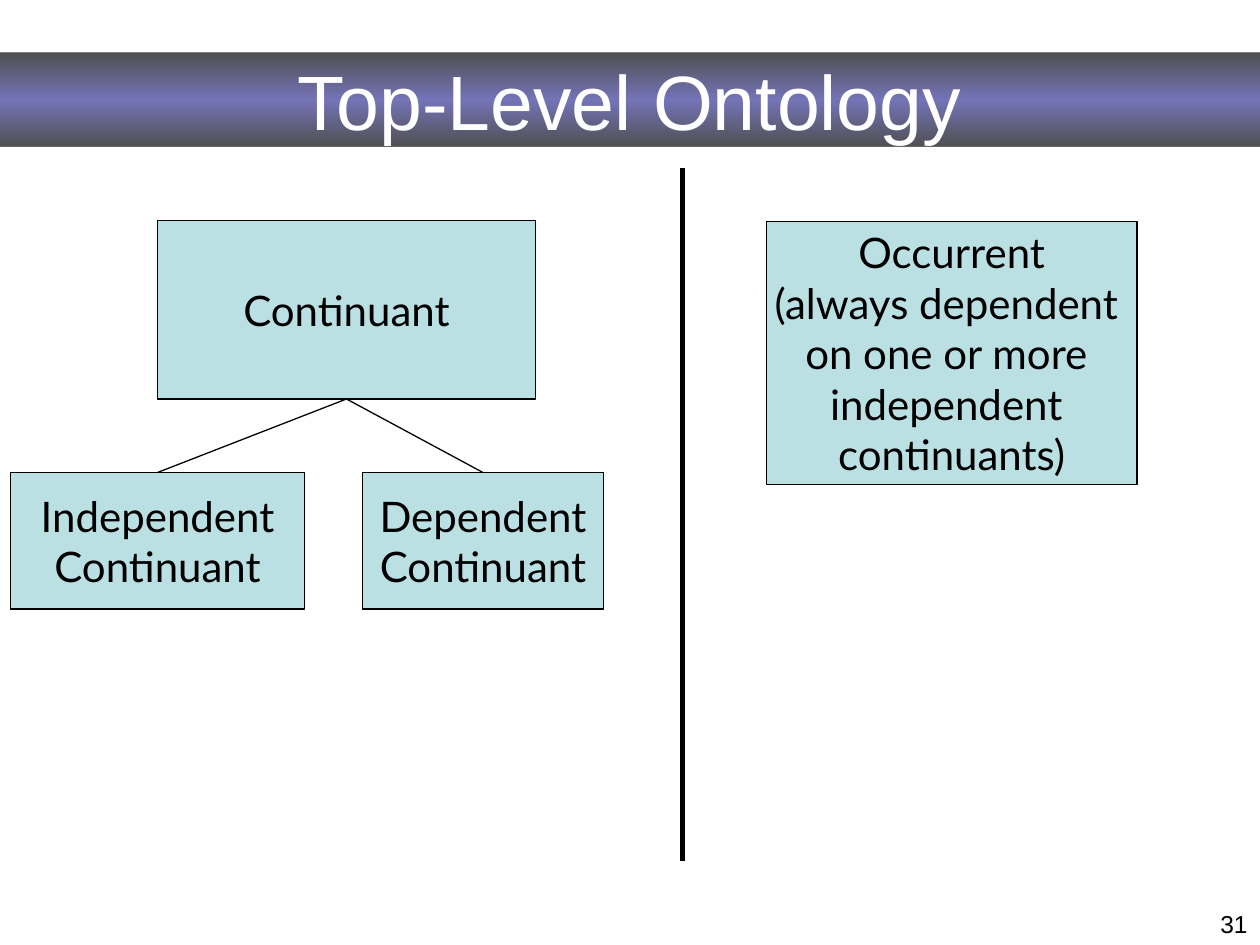
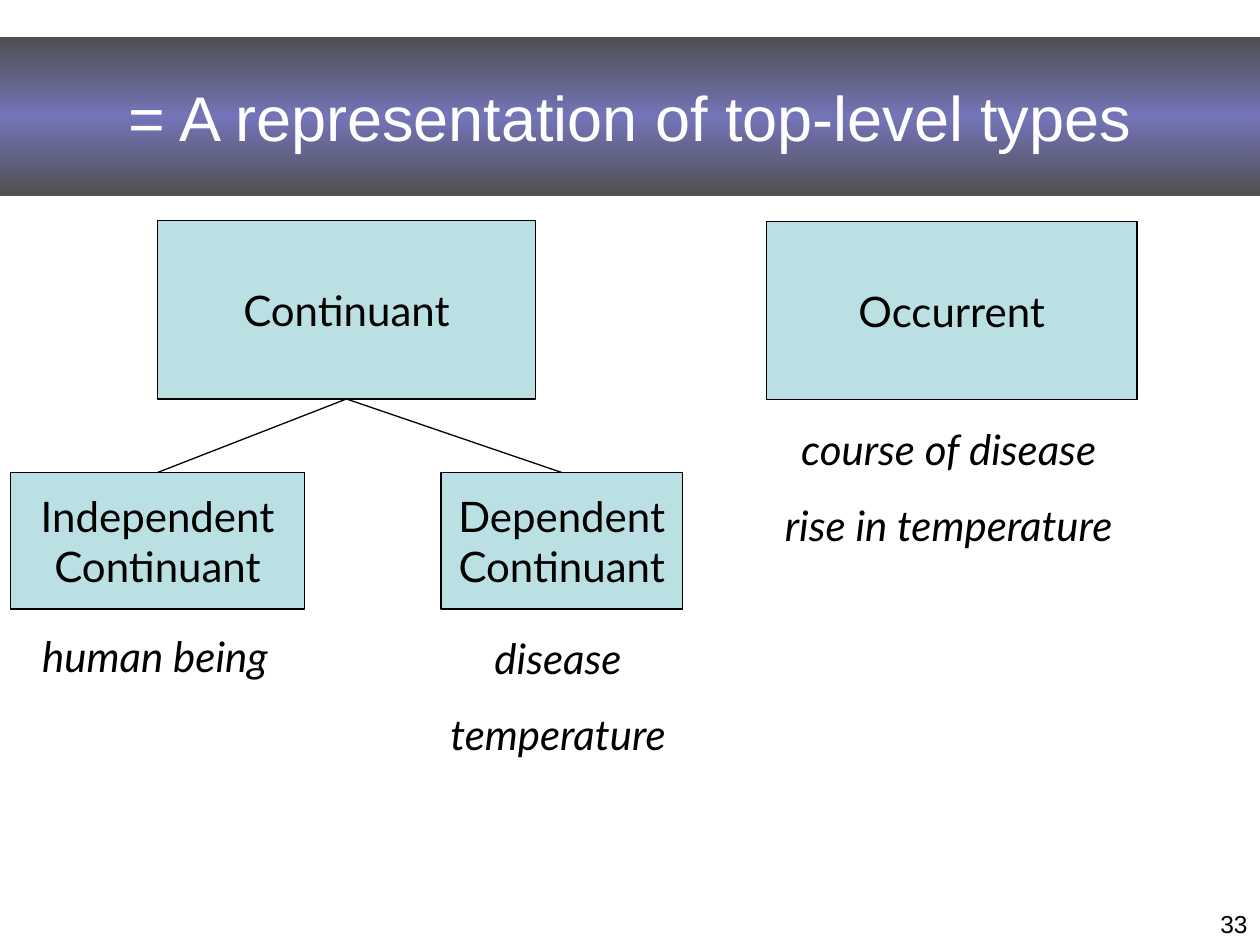
from dataclasses import dataclass

from lxml.etree import SubElement
from pptx import Presentation
from pptx.dml.color import RGBColor
from pptx.enum.shapes import MSO_CONNECTOR, MSO_SHAPE
from pptx.enum.text import MSO_ANCHOR, MSO_AUTO_SIZE, PP_ALIGN
from pptx.oxml import parse_xml
from pptx.oxml.ns import nsdecls, qn
from pptx.util import Pt


@dataclass(frozen=True)
class Theme:
    black = RGBColor(0x00, 0x00, 0x00)
    white = RGBColor(0xFF, 0xFF, 0xFF)
    box_fill = RGBColor(0xBB, 0xE0, 0xE3)
    # Title band stops: position %, colour, opacity %
    band = ((0, "000000", 68), (50, "333399", 67), (100, "000000", 68))
    box_font = {"name": "Lato", "size": Pt(24)}
    example_font = {"name": "Lato", "size": Pt(24), "italic": True}
    number_font = {"name": "Arial", "size": Pt(14)}
    thin, thick = Pt(0.75), Pt(3)
    example_gap = Pt(15)


theme = Theme()


def write_lines(shape, lines, font_format, color=theme.black,
                align=PP_ALIGN.CENTER, gap=Pt(0), **frame_format):
    """Fill the shape with one paragraph per line, with gap between them."""
    frame = shape.text_frame
    frame.text = "\n".join(lines)
    for attribute, value in frame_format.items():
        setattr(frame, attribute, value)
    for index, paragraph in enumerate(frame.paragraphs):
        paragraph.alignment = align
        paragraph.space_before = gap if index else Pt(0)
        for attribute, value in font_format.items():
            setattr(paragraph.font, attribute, value)
        paragraph.font.color.rgb = color


def draw_line(slide, start, end, width):
    line = slide.shapes.add_connector(MSO_CONNECTOR.STRAIGHT, *map(Pt, start + end))
    line.line.color.rgb = theme.black
    line.line.width = width
    SubElement(line._element.spPr, qn("a:effectLst"))
    return line


# Boxes and examples are given as left, top, width, height, lines.
continuant = (90, 126, 216, 102, ["Continuant"])
independent = (6, 270, 168, 78, ["Independent", "Continuant"])
dependent_lines = ["Dependent", "Continuant"]

slides = [
    {
        "title": "Top-Level Ontology", "title_size": 44, "band": (30, 54),
        "boxes": [
            continuant,
            independent,
            (207, 270, 138, 78, dependent_lines),
            (438, 126.7, 211.7, 150,
             ["Occurrent", "(always dependent ", "on one or more ",
              "independent ", "continuants)"]),
        ],
        "dividers": [((390, 96), (390, 492))],
        "examples": [],
        "number": "31",
    },
    {
        "title": "= A representation of top-level types", "title_size": 36,
        "band": (21.6, 90),
        "boxes": [
            continuant,
            independent,
            (252, 270, 138, 78, dependent_lines),
            (438, 126.7, 211.7, 101.5, ["Occurrent"]),
        ],
        "dividers": [],
        "examples": [
            (-3.6, 357, 184.3, 36, ["human being"]),
            (437, 238.3, 210.2, 108.7, ["course of disease", "rise in temperature"]),
            (213.8, 357.8, 210.2, 80, ["disease", "temperature"]),
        ],
        "number": "33",
    },
]

presentation = Presentation()
presentation.slide_width, presentation.slide_height = Pt(720), Pt(540)
title_only = presentation.slide_layouts[5]

for content in slides:
    slide = presentation.slides.add_slide(title_only)

    # Title band
    title = slide.shapes.title
    top, height = content["band"]
    title.left, title.top, title.width, title.height = map(Pt, (0, top, 720, height))
    stops = "".join(
        f'<a:gs pos="{position * 1000}"><a:srgbClr val="{color}">'
        f'<a:alpha val="{opacity * 1000}"/></a:srgbClr></a:gs>'
        for position, color, opacity in theme.band)
    title._element.spPr.append(parse_xml(
        f'<a:gradFill {nsdecls("a")} rotWithShape="1"><a:gsLst>{stops}</a:gsLst>'
        '<a:lin ang="5400000" scaled="1"/></a:gradFill>'))
    write_lines(title, [content["title"]],
                {"name": "Arial", "size": Pt(content["title_size"])}, theme.white,
                vertical_anchor=MSO_ANCHOR.MIDDLE, auto_size=MSO_AUTO_SIZE.NONE)

    # Types
    boxes = []
    for *bounds, lines in content["boxes"]:
        box = slide.shapes.add_shape(MSO_SHAPE.RECTANGLE, *map(Pt, bounds))
        box.shadow.inherit = False
        box.fill.solid()
        box.fill.fore_color.rgb = theme.box_fill
        box.line.color.rgb = theme.black
        box.line.width = theme.thin
        write_lines(box, lines, theme.box_font,
                    vertical_anchor=MSO_ANCHOR.MIDDLE, word_wrap=False)
        boxes.append(box)

    # Branches from the continuant (bottom centre) to its subtypes (top centre)
    parent, *subtypes = boxes[:3]
    for subtype in subtypes:
        branch = draw_line(slide, (0, 0), (0, 0), theme.thin)
        branch.begin_connect(parent, 2)
        branch.end_connect(subtype, 0)

    for start, end in content["dividers"]:
        draw_line(slide, start, end, theme.thick)

    # Examples of each type
    for *bounds, lines in content["examples"]:
        examples = slide.shapes.add_textbox(*map(Pt, bounds))
        write_lines(examples, lines, theme.example_font,
                    gap=theme.example_gap, word_wrap=True)

    # Slide number
    number = slide.shapes.add_textbox(*map(Pt, (594, 516, 126, 24)))
    write_lines(number, [content["number"]], theme.number_font,
                align=PP_ALIGN.RIGHT, word_wrap=True)

presentation.save("out.pptx")
